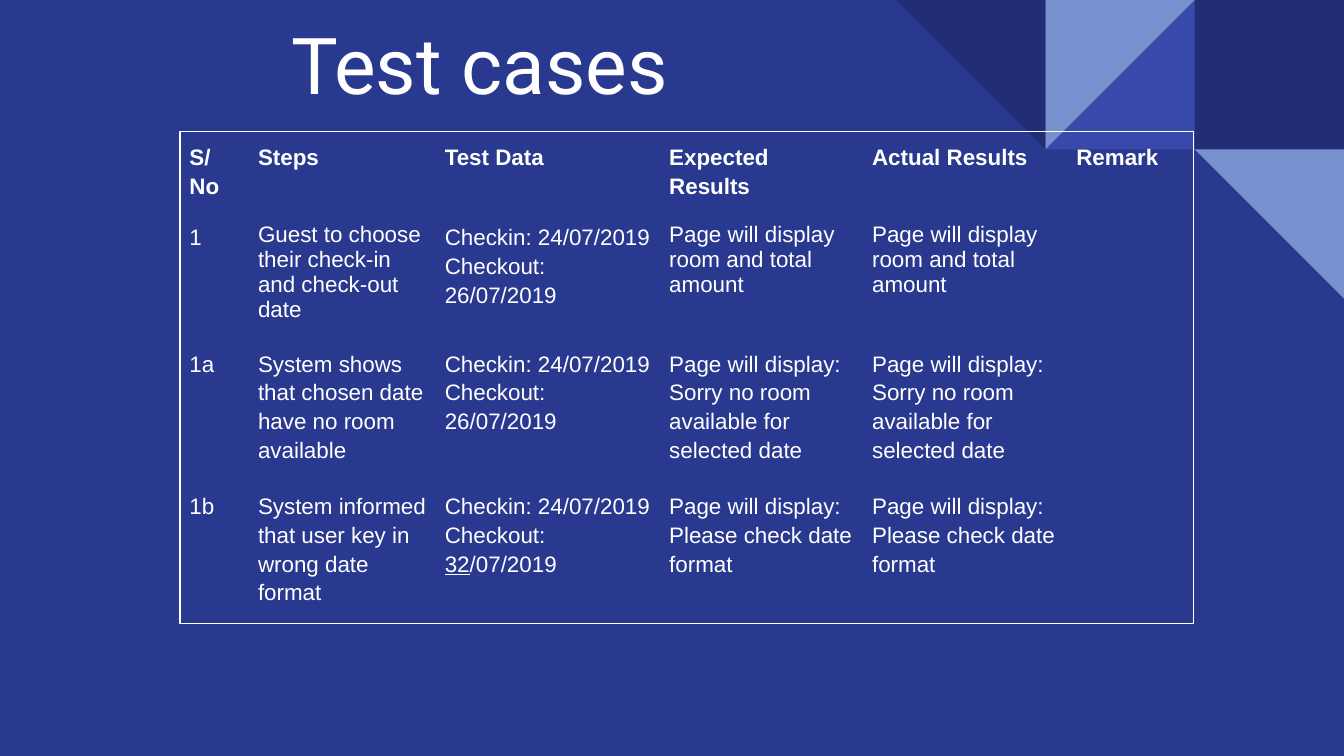
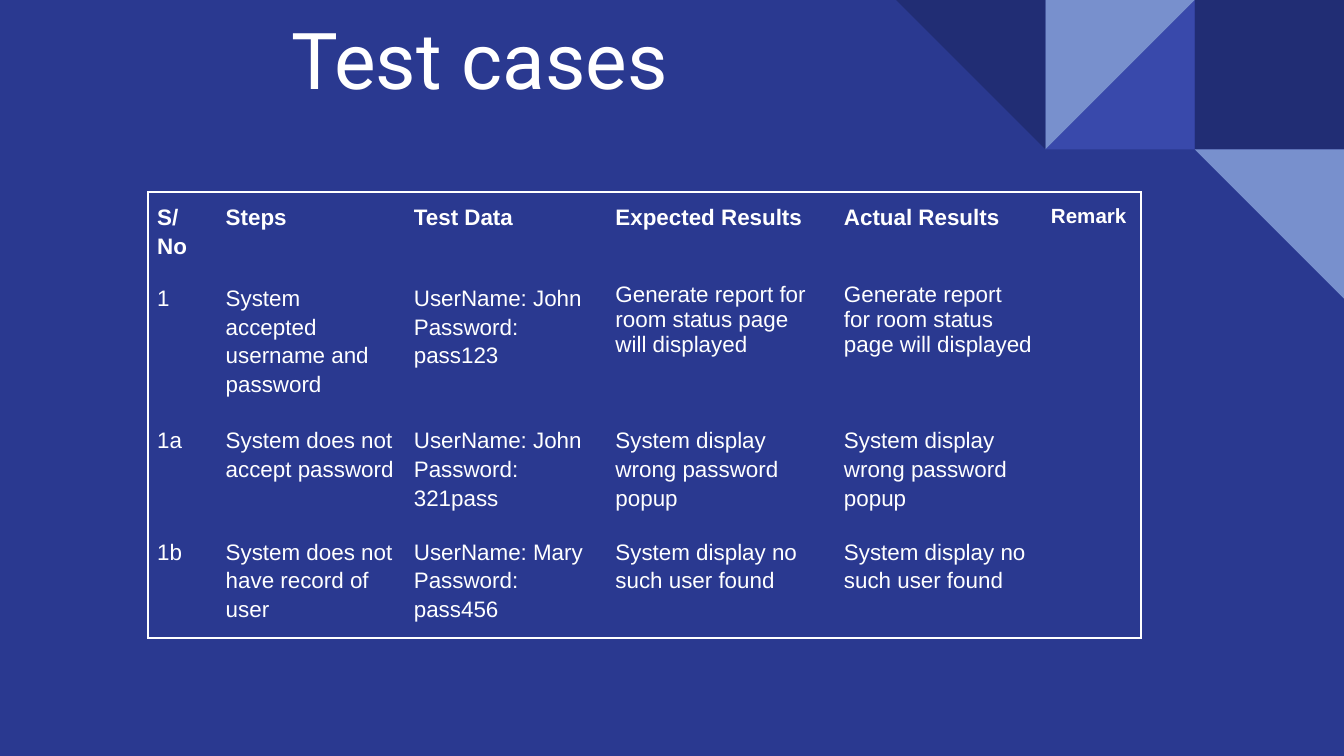
from lxml.etree import SubElement
from pptx import Presentation
from pptx.dml.color import RGBColor
from pptx.enum.shapes import MSO_SHAPE
from pptx.enum.text import MSO_ANCHOR
from pptx.oxml.ns import qn
from pptx.util import Inches, Pt

WHITE = RGBColor(0xFF, 0xFF, 0xFF)
BACKDROP = RGBColor(0x2A, 0x39, 0x90)
NAVY = RGBColor(0x21, 0x2D, 0x74)
INDIGO = RGBColor(0x39, 0x49, 0xAB)
PALE = RGBColor(0x78, 0x90, 0xCD)

WIDTH, HEIGHT = Inches(10), Inches(5.625)
TILE = WIDTH // 9
CELL_MARGIN = Inches(0.07)
TITLE_FONT, TABLE_FONT = "Roboto", "Arial"

MOSAIC = [
    (8, 0, MSO_SHAPE.RECTANGLE, 0, NAVY),
    (7, 0, MSO_SHAPE.RIGHT_TRIANGLE, 270, INDIGO),
    (7, 0, MSO_SHAPE.RIGHT_TRIANGLE, 90, PALE),
    (6, 0, MSO_SHAPE.RIGHT_TRIANGLE, 180, NAVY),
    (8, 1, MSO_SHAPE.RIGHT_TRIANGLE, 180, PALE),
]

HEADINGS = ["S/No", "Steps", "Test Data", "Expected Results", "Actual Results", "Remark"]
STAY = "Checkin: 24/07/2019\nCheckout: 26/07/2019"

BOOKING = {
    "title_box": (20.7, 2.67, 58.6, 13.69),
    "table_corner": (13.4, 17.42),
    "columns": [5.1, 13.9, 16.7, 15.1, 15.2, 9.4],
    "remark_size": 12,
    "tight_cells": {(1, 1), (1, 3), (1, 4)},
    "cases": [
        ("1", "Guest to choose their check-in and check-out date", STAY,
         "Page will display room and total amount"),
        ("1a", "System shows that chosen date have no room available", STAY,
         "Page will display: Sorry no room available for selected date"),
        ("1b", "System informed that user key in wrong date format",
         "Checkin: 24/07/2019\nCheckout: _32_/07/2019",
         "Page will display: Please check date format"),
    ],
}
LOGIN = {
    "title_box": (20.7, 5.87, 58.6, 9.78),
    "table_corner": (11, 25.42),
    "columns": [5.1, 14, 15, 17, 15.4, 7.4],
    "remark_size": 11,
    "tight_cells": {(1, 3), (1, 4)},
    "cases": [
        ("1", "System accepted username and password",
         "UserName: John\nPassword: pass123",
         "Generate report for room status page will displayed"),
        ("1a", "System does not accept password",
         "UserName: John\nPassword: 321pass",
         "System display wrong password popup"),
        ("1b", "System does not have record of user",
         "UserName: Mary\nPassword: pass456",
         "System display no such user found"),
    ],
}


def across(percent):
    return int(WIDTH * percent / 100)


def down(percent):
    return int(HEIGHT * percent / 100)


def add_mosaic(slide):
    for column, row, outline, turn, color in MOSAIC:
        tile = slide.shapes.add_shape(outline, column * TILE, row * TILE, TILE, TILE)
        tile.rotation = turn
        tile.shadow.inherit = False
        tile.fill.solid()
        tile.fill.fore_color.rgb = color
        tile.line.fill.background()


def add_title(slide, box):
    left, top, width, height = box
    title = slide.shapes.add_textbox(across(left), down(top), across(width), down(height))
    frame = title.text_frame
    frame.word_wrap = True
    frame.vertical_anchor = MSO_ANCHOR.BOTTOM
    frame.margin_left = frame.margin_right = Inches(0.1)
    frame.margin_top = frame.margin_bottom = Inches(0.1)
    frame.text = "Test cases"
    font = frame.paragraphs[0].runs[0].font
    font.name, font.size, font.color.rgb = TITLE_FONT, Pt(42), WHITE


def set_borders(cell, outer_sides):
    properties = cell._tc.get_or_add_tcPr()
    for side in "LRTB":
        line = SubElement(properties, qn(f"a:ln{side}"), w=str(Pt(1)))
        if side in outer_sides:
            fill = SubElement(line, qn("a:solidFill"))
            SubElement(fill, qn("a:srgbClr"), val=str(WHITE))
        else:
            SubElement(line, qn("a:noFill"))


def write_cell(cell, text, size, bold, spacing):
    cell.margin_left = cell.margin_right = CELL_MARGIN
    cell.margin_top = cell.margin_bottom = CELL_MARGIN
    cell.text_frame.text = text
    for paragraph in cell.text_frame.paragraphs:
        paragraph.line_spacing = spacing
        pieces = paragraph.text.split("_")
        paragraph.text = pieces[0]
        for position, piece in enumerate(pieces[1:], 1):
            run = paragraph.add_run()
            run.text = piece
            run.font.underline = position % 2 == 1
        for font in [paragraph.font] + [run.font for run in paragraph.runs]:
            font.name, font.size, font.bold = TABLE_FONT, Pt(size), bold
            font.color.rgb = WHITE


def add_cases(slide, corner, columns, cases, remark_size, tight_cells):
    rows = [HEADINGS] + [(*case, case[-1], "") for case in cases]
    left, top = corner
    row_height = down(5.87)
    table = slide.shapes.add_table(
        len(rows), len(columns), across(left), down(top),
        across(sum(columns)), row_height * len(rows)).table
    table.first_row = table.horz_banding = False
    for column, width in zip(table.columns, columns):
        column.width = across(width)
    last_row, last_column = len(rows) - 1, len(columns) - 1
    for r, row in enumerate(rows):
        for c, text in enumerate(row):
            cell = table.cell(r, c)
            size = remark_size if c == last_column else 12
            spacing = 1.0 if (r, c) in tight_cells else 1.15
            write_cell(cell, text, size, r == 0, spacing)
            edges = {"L": c == 0, "R": c == last_column, "T": r == 0, "B": r == last_row}
            set_borders(cell, [side for side, outer in edges.items() if outer])
            cell.fill.background()


def add_test_slide(deck, content):
    slide = deck.slides.add_slide(deck.slide_layouts[6])
    add_mosaic(slide)
    add_title(slide, content["title_box"])
    add_cases(slide, content["table_corner"], content["columns"], content["cases"],
              content["remark_size"], content["tight_cells"])


def main():
    deck = Presentation()
    deck.slide_width, deck.slide_height = WIDTH, HEIGHT
    backdrop = deck.slide_master.background.fill
    backdrop.solid()
    backdrop.fore_color.rgb = BACKDROP
    for content in (BOOKING, LOGIN):
        add_test_slide(deck, content)
    deck.save("out.pptx")


if __name__ == "__main__":
    main()
